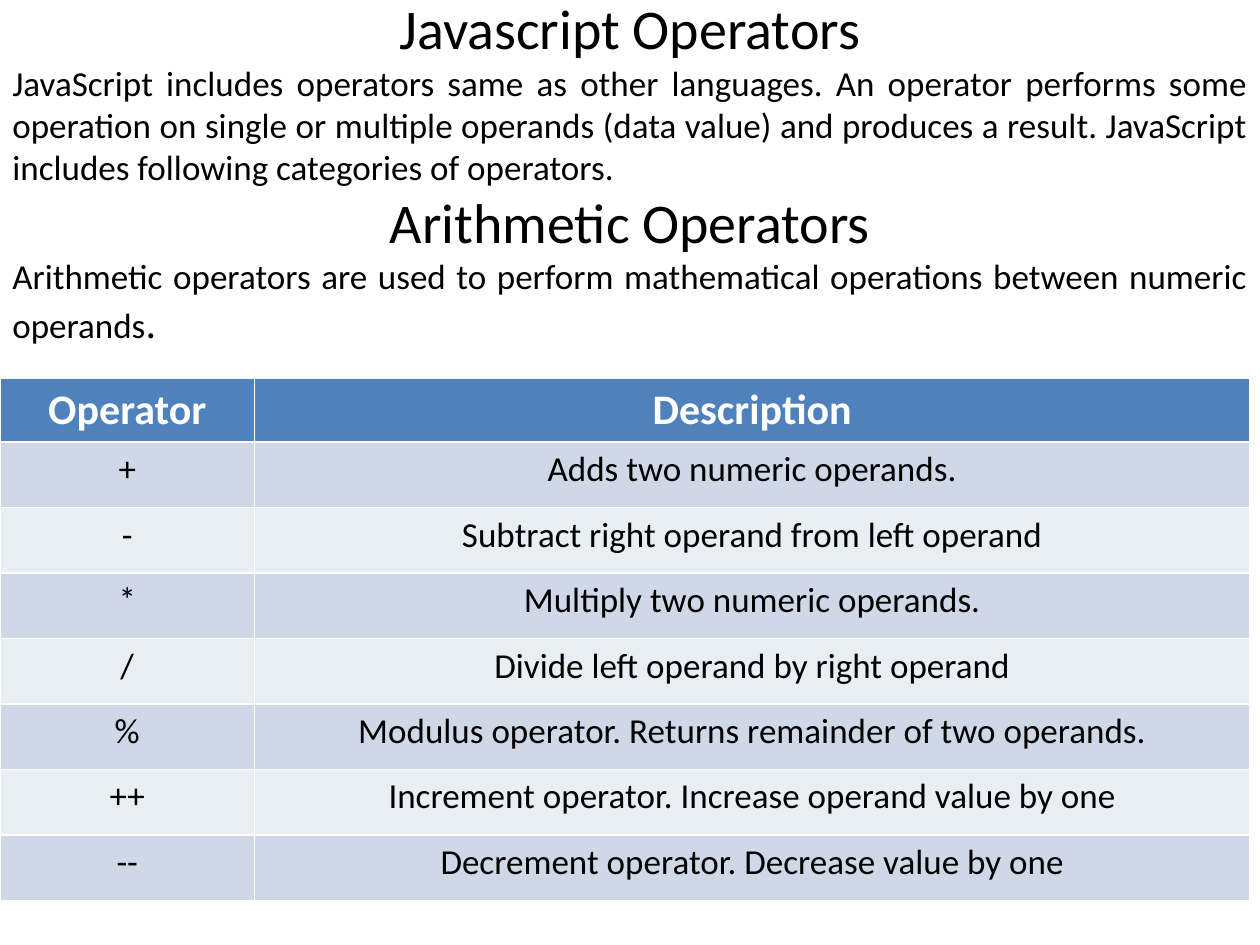
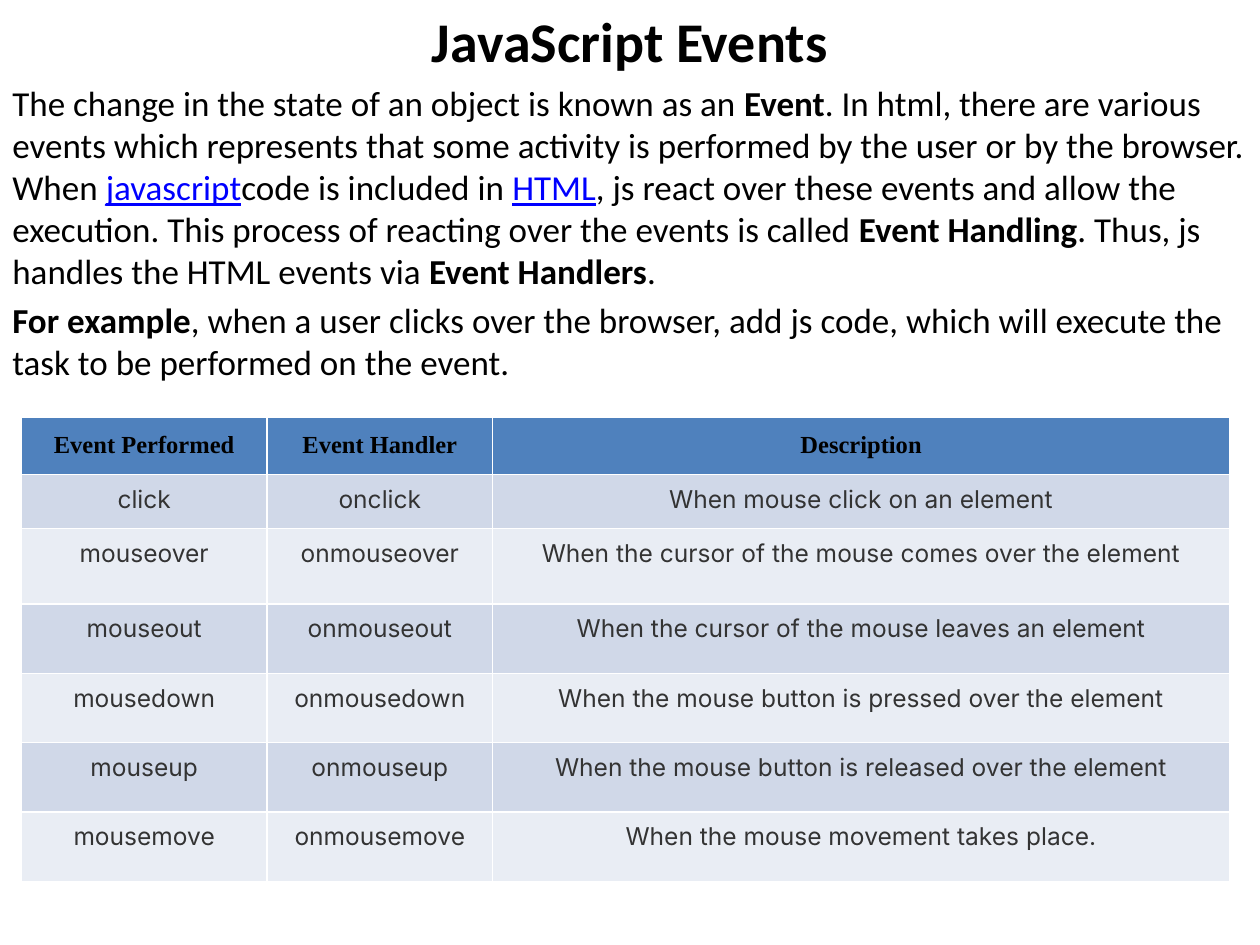
"""Build two slides on JavaScript operators and events."""
import pptx
import pptx.util
import pptx.dml.color
import pptx.enum.text

Inches = pptx.util.Inches
Pt = pptx.util.Pt
ALIGN = pptx.enum.text.PP_ALIGN
ANCHOR = pptx.enum.text.MSO_ANCHOR
FIT = pptx.enum.text.MSO_AUTO_SIZE

COLORS = {
    "ink": "000000",
    "gray": "333333",
    "white": "FFFFFF",
    "link": "0000FF",
    "head": "4F81BD",
    "odd": "D0D8E8",
    "even": "E9EDF4",
}
FONT = "Calibri"
WIDTH = 10
HEADING = 32
BODY = 20

MATH_ROWS = [
    ("Operator", "Description"),
    ("+", "Adds two numeric operands."),
    ("-", "Subtract right operand from left operand"),
    ("*", "Multiply two numeric operands."),
    ("/", "Divide left operand by right operand"),
    ("%", "Modulus operator. Returns remainder of two operands."),
    ("++", "Increment operator. Increase operand value by one"),
    ("--", "Decrement operator. Decrease value by one"),
]
EVENT_ROWS = [
    ("Event Performed", "Event Handler", "Description"),
    ("click", "onclick", "When mouse click on an element"),
    ("mouseover", "onmouseover", "When the cursor of the mouse comes over the element"),
    ("mouseout", "onmouseout", "When the cursor of the mouse leaves an element"),
    ("mousedown", "onmousedown", "When the mouse button is pressed over the element"),
    ("mouseup", "onmouseup", "When the mouse button is released over the element"),
    ("mousemove", "onmousemove", "When the mouse movement takes place."),
]


def paint(run, size, color="ink", font=FONT, bold=False, under=False):
    run.font.size = Pt(size)
    run.font.name = font
    run.font.bold = bold
    run.font.underline = under
    run.font.color.rgb = pptx.dml.color.RGBColor.from_string(COLORS[color])


def set_frame(frame):
    frame.word_wrap = True
    frame.auto_size = FIT.NONE
    frame.vertical_anchor = ANCHOR.TOP


def add_title(slide, text, top, bold):
    title = slide.shapes.title
    title.left, title.top = Inches(0), Inches(top)
    title.width, title.height = Inches(WIDTH), Inches(0.64)
    set_frame(title.text_frame)
    title.text_frame.text = text
    par = title.text_frame.paragraphs[0]
    par.alignment = ALIGN.CENTER
    paint(par.runs[0], HEADING, bold=bold)


def add_body(slide, top, height, pars, gap=0):
    """Add paragraphs, each an alignment and a list of (text, format) runs."""
    box = slide.shapes.add_textbox(Inches(0), Inches(top), Inches(WIDTH), Inches(height))
    frame = box.text_frame
    set_frame(frame)
    for index, (align, runs) in enumerate(pars):
        par = frame.add_paragraph() if index else frame.paragraphs[0]
        par.alignment = align
        par.space_before = Pt(gap if index else 0)
        for text, style in runs:
            run = par.add_run()
            run.text = text
            paint(run, **{"size": BODY, **style})


def fill_cell(cell, text, fill, style, inset):
    cell.fill.solid()
    cell.fill.fore_color.rgb = pptx.dml.color.RGBColor.from_string(COLORS[fill])
    if inset:
        cell.margin_left = cell.margin_right = Inches(inset)
        cell.margin_top = cell.margin_bottom = Inches(inset)
    cell.text = text
    par = cell.text_frame.paragraphs[0]
    par.alignment = ALIGN.CENTER
    paint(par.runs[0], **style)


def add_grid(slide, left, top, widths, heights, rows, head, body, insets=(None, None)):
    """Add a banded table with a header row."""
    grid = slide.shapes.add_table(
        len(rows), len(widths), Inches(left), Inches(top),
        Inches(sum(widths)), Inches(sum(heights))).table
    for col, width in zip(grid.columns, widths):
        col.width = Inches(width)
    for index, (row, height, texts) in enumerate(zip(grid.rows, heights, rows)):
        row.height = Inches(height)
        fill = ("odd" if index % 2 else "even") if index else "head"
        style, inset = (body, insets[1]) if index else (head, insets[0])
        for cell, text in zip(row.cells, texts):
            fill_cell(cell, text, fill, style, inset)


def build_math(slide):
    add_title(slide, "Javascript Operators", -0.1, False)
    add_body(slide, 0.44, 2.39, [
        (ALIGN.JUSTIFY, [(
            "JavaScript includes operators same as other languages. An operator performs "
            "some operation on single or multiple operands (data value) and produces a "
            "result. JavaScript includes following categories of operators.", {})]),
        (ALIGN.CENTER, [("Arithmetic Operators", {"size": HEADING})]),
        (ALIGN.JUSTIFY, [
            ("Arithmetic operators are used to perform mathematical operations between "
             "numeric operands", {}),
            (".", {"size": 24})]),
    ])
    add_grid(slide, 0, 3, [2.02, 7.9], [0.49] + [0.52] * 7, MATH_ROWS,
             {"size": 24, "color": "white", "bold": True}, {"size": BODY})


def build_events(slide):
    bold = {"bold": True}
    link = {"color": "link", "under": True}
    add_title(slide, "JavaScript Events", 0, True)
    add_body(slide, 0.6, 2.6, [
        (ALIGN.LEFT, [
            ("The change in the state of an object is known as an ", {}),
            ("Event", bold),
            (". In html, there are various events which represents that some activity is "
             "performed by the user or by the browser. When ", {}),
            ("javascript", link),
            ("code is included in ", {}),
            ("HTML", link),
            (", js react over these events and allow the execution. This process of "
             "reacting over the events is called ", {}),
            ("Event Handling", bold),
            (". Thus, js handles the HTML events via ", {}),
            ("Event Handlers", bold),
            (".", {})]),
        (ALIGN.LEFT, [
            ("For example", bold),
            (", when a user clicks over the browser, add js code, which will execute the "
             "task to be performed on the event.", {})]),
    ], gap=4)
    add_grid(slide, 0.17, 3.31, [1.95, 1.79, 5.85], [0.41, 0.43, 0.6] + [0.55] * 4,
             EVENT_ROWS,
             {"size": 14, "font": "Times New Roman", "bold": True},
             {"size": 14, "font": "Inter", "color": "gray"},
             insets=(0.12, 0.08))


def main():
    deck = pptx.Presentation()
    deck.slide_width, deck.slide_height = Inches(WIDTH), Inches(7.5)
    for build in (build_math, build_events):
        build(deck.slides.add_slide(deck.slide_layouts[5]))
    deck.save("out.pptx")


if __name__ == "__main__":
    main()
